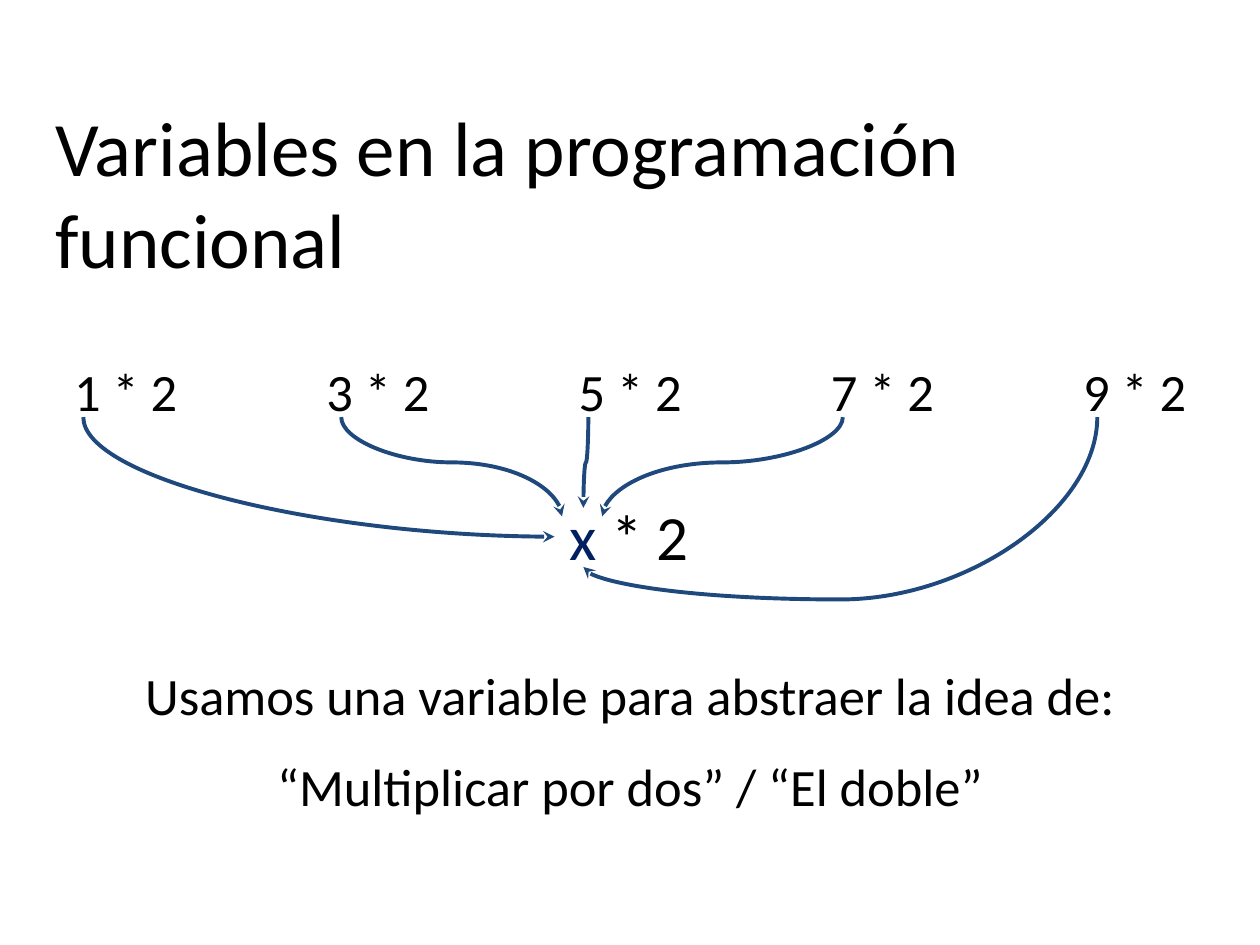
from lxml import etree
from pptx import Presentation
from pptx import util as u
from pptx.dml import color
from pptx.enum import shapes, text
from pptx.oxml import ns

COLOURS = {"ink": "000000", "variable": "002060", "arrow": "1F497D"}
FONT = "Calibri"
MARGIN, CONTENT_WIDTH = 0.87, 23.67
CENTRE = text.PP_ALIGN.CENTER


def rgb(name):
    """Return the named colour."""
    return color.RGBColor.from_string(COLOURS[name])


def style_span(span, size, colour="ink"):
    """Give a run its font, size and colour."""
    span.font.name = FONT
    span.font.size = u.Pt(size)
    span.font.color.rgb = rgb(colour)


def add_text(page, box, wording, size, align=text.PP_ALIGN.LEFT):
    """Add a wrapped text box and return its paragraphs."""
    frame = page.shapes.add_textbox(*map(u.Cm, box)).text_frame
    frame.word_wrap = True
    frame.margin_left = frame.margin_right = u.Cm(0.25)
    frame.margin_top = frame.margin_bottom = u.Cm(0.25)
    frame.text = wording
    for para in frame.paragraphs:
        para.alignment = align
        for span in para.runs:
            style_span(span, size)
    return frame.paragraphs


def add_arrow(page, start, end, preset, bend):
    """Draw a curved arrow that leaves its start vertically."""
    (x1, y1), (x2, y2) = start, end
    centre_x, centre_y = (x1 + x2) / 2, (y1 + y2) / 2
    half_x, half_y = (x2 - x1) / 2, (y2 - y1) / 2
    turned = (centre_x - half_y, centre_y + half_x,
              centre_x + half_y, centre_y - half_x)
    arrow = page.shapes.add_connector(
        shapes.MSO_CONNECTOR.CURVE, *map(u.Cm, turned))
    arrow.line.color.rgb = rgb("arrow")
    arrow.line.width = u.Pt(2.25)
    properties = arrow.element.spPr
    properties.find(ns.qn("a:xfrm")).set("rot", "5400000")
    geometry = properties.find(ns.qn("a:prstGeom"))
    geometry.set("prst", preset)
    if bend is not None:
        guides = geometry.find(ns.qn("a:avLst"))
        if guides is None:
            guides = etree.SubElement(geometry, ns.qn("a:avLst"))
        etree.SubElement(guides, ns.qn("a:gd"), name="adj1",
                         fmla=f"val {round(bend * 100000)}")
    etree.SubElement(properties.find(ns.qn("a:ln")), ns.qn("a:tailEnd"),
                     type="stealth")
    etree.SubElement(properties, ns.qn("a:effectLst"))


def add_title(page, box):
    """Write the slide title."""
    add_text(page, box, "Variables en la programación funcional", 44)


def add_diagram(page, box):
    """Show five expressions whose numbers lead to one variable."""
    left, top, width, height = box
    item_width, item_height = 3.33, 1.57
    step = (width - item_width) / 4
    arrows = [
        (0.81, (10.31, 3.83), "curvedConnector2", None),
        (6.01, (10.46, 3.42), "curvedConnector3", 0.456),
        (10.99, (10.89, 3.25), "curvedConnector3", 0.5),
        (16.12, (11.27, 3.42), "curvedConnector3", 0.456),
        (21.25, (10.89, 4.44), "curvedConnector3", 1.217),
    ]
    for index, (start_x, (end_x, end_y), preset, bend) in enumerate(arrows):
        item = (left + index * step, top, item_width, item_height)
        para = add_text(page, item, f"{2 * index + 1} * 2", 30, CENTRE)[0]
        para.space_after = u.Pt(16)
        add_arrow(page, (left + start_x, top + 1.42),
                  (left + end_x, top + end_y), preset, bend)

    variable = (left + 9.34, top + 2.79, 4.95, height - 2.79)
    para = add_text(page, variable, "x", 36, CENTRE)[0]
    para.space_after = u.Pt(16)
    style_span(para.runs[0], 36, "variable")
    factor = para.add_run()
    factor.text = " * 2"
    style_span(factor, 36)


def add_conclusion(page, box):
    """Explain the idea that the variable abstracts."""
    wording = ("Usamos una variable para abstraer la idea de:\n"
               "“Multiplicar por dos” / “El doble”")
    idea = add_text(page, box, wording, 30, CENTRE)[1]
    idea.space_before = idea.space_after = u.Pt(16)


def main():
    """Build and save the deck."""
    deck = Presentation()
    deck.slide_width, deck.slide_height = u.Cm(25.4), u.Cm(19.05)
    page = deck.slides.add_slide(deck.slide_layouts[6])
    add_title(page, (MARGIN, 1.75, CONTENT_WIDTH, 1.57))
    add_diagram(page, (MARGIN, 6.99, CONTENT_WIDTH, 5.13))
    add_conclusion(page, (MARGIN, 13.11, CONTENT_WIDTH, 3.81))
    deck.save("out.pptx")


if __name__ == "__main__":
    main()
